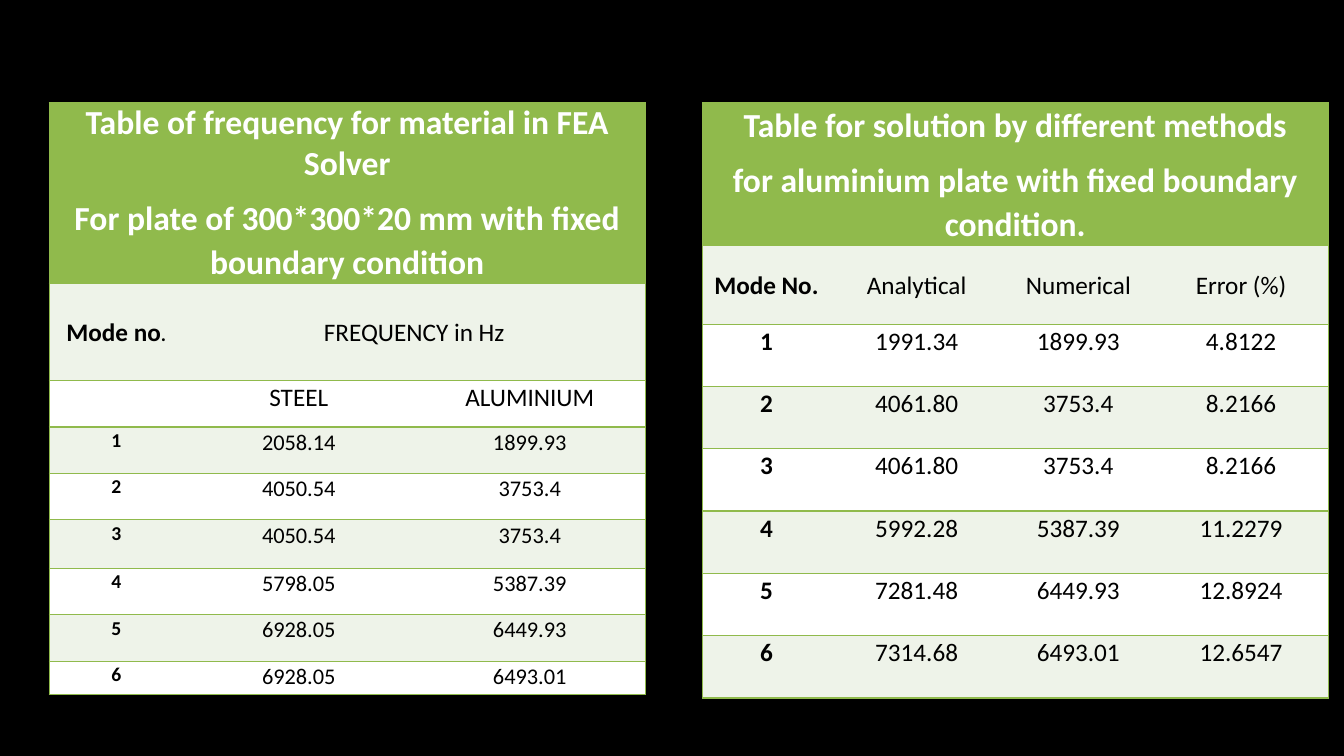
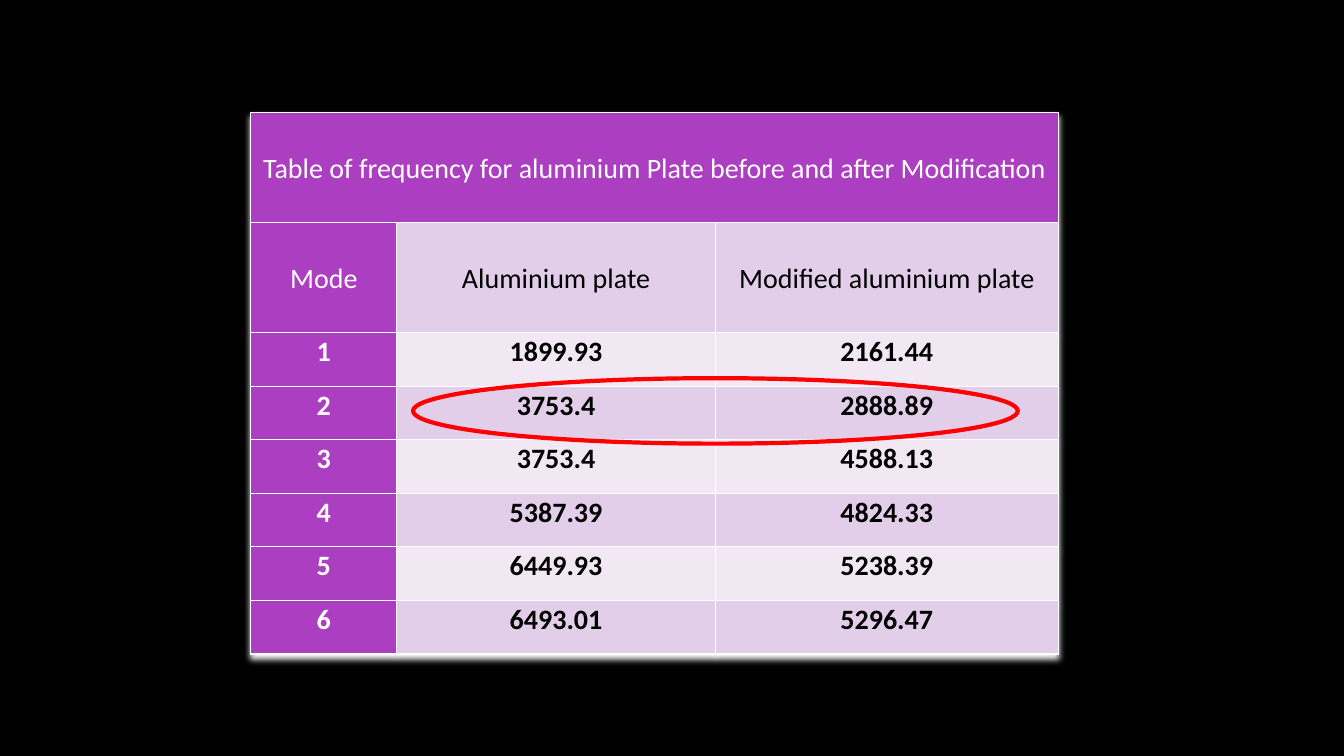
import pptx
import pptx.dml.color
import pptx.enum.shapes
import pptx.enum.text
import pptx.oxml
import pptx.oxml.ns
import pptx.util

Cm, Pt = pptx.util.Cm, pptx.util.Pt
ANCHOR = pptx.enum.text.MSO_ANCHOR

COLOURS = {
    "background": "000000", "text": "000000", "white": "FFFFFF",
    "green": "90BA4C", "green_tint": "EEF3E9",
    "purple": "AC3EC1", "purple_tint": "E3CEE9", "purple_pale": "F1E8F4",
    "highlight": "FF0000",
}
FONT = "Calibri"
LINE_SPACING = 1.07
NO_STYLE = "{2D5ABB26-0587-4C30-8999-92F81FD0307C}"
NAMESPACE = pptx.oxml.ns.nsdecls("a")

GREEN_STYLE = {
    "accent": "green", "bands": ("green_tint", "white"), "border": "green",
    "inner_verticals": False, "accent_first_column": False, "shadow": False,
    "title_bold": True, "header_bold": False, "value_bold": False,
}
PURPLE_STYLE = {
    "accent": "purple", "bands": ("purple_tint", "purple_pale"), "border": "white",
    "inner_verticals": True, "accent_first_column": True, "shadow": True,
    "title_bold": False, "header_bold": False, "value_bold": True,
}

# A cell is a plain string, or a list of (text, size) runs.
# Sizes are in points, positions, columns and rows in centimetres.
MATERIAL_TABLE = {
    "style": GREEN_STYLE,
    "title": [("Table of frequency for material in FEA Solver", 1.0),
              ("For plate of 300*300*20 mm with fixed boundary condition", LINE_SPACING)],
    "headers": [[[("Mode no", 18), (".", 14)], "FREQUENCY in Hz", ""],
                ["", "STEEL", "ALUMINIUM"]],
    "values": [("2058.14", "1899.93"), ("4050.54", "3753.4"), ("4050.54", "3753.4"),
               ("5798.05", "5387.39"), ("6928.05", "6449.93"), ("6928.05", "6493.01")],
    "header_span": (1, 2),
    "sizes": {"title": 24, "header": 18, "mode": 14, "value": 16},
    "position": (1.24, 2.59),
    "columns": [3.38, 5.82, 5.82],
    "rows": [4.32, 2.44] + [1.17] * 3 + [1.22] + [1.17] * 2 + [0.84],
}
METHOD_TABLE = {
    "style": GREEN_STYLE,
    "title": [("Table for solution by different methods", LINE_SPACING),
              ("for aluminium plate with fixed boundary condition.", LINE_SPACING)],
    "headers": [["Mode No.", "Analytical", "Numerical", "Error (%)"]],
    "values": [("1991.34", "1899.93", "4.8122"), ("4061.80", "3753.4", "8.2166"),
               ("4061.80", "3753.4", "8.2166"), ("5992.28", "5387.39", "11.2279"),
               ("7281.48", "6449.93", "12.8924"), ("7314.68", "6493.01", "12.6547")],
    "sizes": {"title": 24, "header": 18, "mode": 18, "value": 18},
    "position": (17.7, 2.59),
    "columns": [3.23, 4.34, 3.81, 4.39],
    "rows": [3.3, 1.98] + [1.57] * 6,
}
MODIFICATION_TABLE = {
    "style": PURPLE_STYLE,
    "title": [("Table of frequency for aluminium Plate before and after Modification",
               LINE_SPACING)],
    "headers": [["Mode", "Aluminium plate", "Modified aluminium plate"]],
    "values": [("1899.93", "2161.44"), ("3753.4", "2888.89"), ("3753.4", "4588.13"),
               ("5387.39", "4824.33"), ("6449.93", "5238.39"), ("6493.01", "5296.47")],
    "sizes": {"title": 20, "header": 20, "mode": 20, "value": 20},
    "position": (6.32, 2.84),
    "columns": [3.68, 8.03, 8.64],
    "rows": [2.77, 2.77] + [1.35] * 6,
}
SLIDES = [
    {"tables": [MATERIAL_TABLE, METHOD_TABLE]},
    {"tables": [MODIFICATION_TABLE], "highlight": (10.41, 9.53, 15.24, 1.65)},
]


def colour(name):
    return pptx.dml.color.RGBColor.from_string(COLOURS[name])


def write_paragraph(paragraph, runs, font, spacing=LINE_SPACING):
    paragraph.alignment = pptx.enum.text.PP_ALIGN.CENTER
    paragraph.line_spacing = spacing
    paragraph.space_after = Pt(8)
    for text, size in runs:
        run = paragraph.add_run()
        run.text = text
        for name, value in {"name": FONT, "size": Pt(size), "bold": font["bold"]}.items():
            setattr(run.font, name, value)
        run.font.color.rgb = colour(font["colour"])


def set_borders(cell, edges, border):
    """Draw 1 pt lines on the given edges, a subset of LRTB in that order."""
    properties = cell._tc.get_or_add_tcPr()
    for index, edge in enumerate(edges):
        properties.insert(index, pptx.oxml.parse_xml(
            f'<a:ln{edge} {NAMESPACE} w="12700"><a:solidFill>'
            f'<a:srgbClr val="{COLOURS[border]}"/></a:solidFill></a:ln{edge}>'))


def set_table_style(table, shadow):
    properties = table._tbl.tblPr
    properties.find(pptx.oxml.ns.qn("a:tableStyleId")).text = NO_STYLE
    if shadow:
        properties.insert(0, pptx.oxml.parse_xml(
            f'<a:effectLst {NAMESPACE}><a:outerShdw blurRad="57150" dist="38100" '
            f'dir="5400000" algn="ctr" rotWithShape="0">'
            f'<a:srgbClr val="{COLOURS["white"]}"/></a:outerShdw></a:effectLst>'))


def cell_role(row, column, header_count):
    if row == 0:
        return "title"
    if row <= header_count:
        return "header"
    return "value" if column else "mode"


def add_data_table(slide, content):
    style, sizes = content["style"], content["sizes"]
    columns, rows = content["columns"], content["rows"]
    last, header_count = len(columns) - 1, len(content["headers"])
    modes = [[str(mode), *values] for mode, values in enumerate(content["values"], 1)]
    grid = [[""] * len(columns)] + content["headers"] + modes

    frame = slide.shapes.add_table(len(rows), len(columns), *map(Cm, content["position"]),
                                   Cm(sum(columns)), Cm(sum(rows)))
    table = frame.table
    set_table_style(table, style["shadow"])
    for column, width in zip(table.columns, columns):
        column.width = Cm(width)
    for row, height in zip(table.rows, rows):
        row.height = Cm(height)

    table.cell(0, 0).merge(table.cell(0, last))
    if "header_span" in content:
        first, final = content["header_span"]
        table.cell(1, first).merge(table.cell(1, final))

    for row, texts in enumerate(grid):
        for column, text in enumerate(texts):
            cell = table.cell(row, column)
            if cell.is_spanned:
                continue
            role = cell_role(row, column, header_count)
            accented = row == 0 or (column == 0 and style["accent_first_column"])
            bold = style["value_bold" if role == "mode" else role + "_bold"]
            if column == 0 and row and not style["accent_first_column"]:
                bold = True
            font = {"bold": bold, "colour": "white" if accented else "text"}
            margins = {"margin_left": Cm(0.18), "margin_right": Cm(0.18),
                       "margin_top": 0, "margin_bottom": 0,
                       "vertical_anchor": ANCHOR.MIDDLE if row < 2 else ANCHOR.TOP}
            for name, value in margins.items():
                setattr(cell, name, value)

            if role == "title":
                for index, (line, spacing) in enumerate(content["title"]):
                    frame_text = cell.text_frame
                    paragraph = frame_text.add_paragraph() if index else frame_text.paragraphs[0]
                    write_paragraph(paragraph, [(line, sizes["title"])], font, spacing)
            elif text:
                runs = [(text, sizes[role])] if isinstance(text, str) else text
                write_paragraph(cell.text_frame.paragraphs[0], runs, font)

            fill = style["accent"] if accented else style["bands"][(row - 1) % 2]
            cell.fill.solid()
            cell.fill.fore_color.rgb = colour(fill)
            right = column + (cell.span_width if cell.is_merge_origin else 1) - 1
            verticals = style["inner_verticals"]
            edges = ("L" if verticals or column == 0 else "") + (
                "R" if verticals or right == last else "") + "TB"
            set_borders(cell, edges, style["border"])


def add_highlight(slide, box):
    ellipse = slide.shapes.add_shape(pptx.enum.shapes.MSO_SHAPE.OVAL, *map(Cm, box))
    ellipse.shadow.inherit = False
    ellipse.fill.background()
    ellipse.line.color.rgb = colour("highlight")
    ellipse.line.width = Pt(3)


def main():
    presentation = pptx.Presentation()
    presentation.slide_width, presentation.slide_height = Cm(33.87), Cm(19.05)
    for content in SLIDES:
        slide = presentation.slides.add_slide(presentation.slide_layouts[6])
        slide.background.fill.solid()
        slide.background.fill.fore_color.rgb = colour("background")
        for table in content["tables"]:
            add_data_table(slide, table)
        if "highlight" in content:
            add_highlight(slide, content["highlight"])
    presentation.save("out.pptx")


if __name__ == "__main__":
    main()
